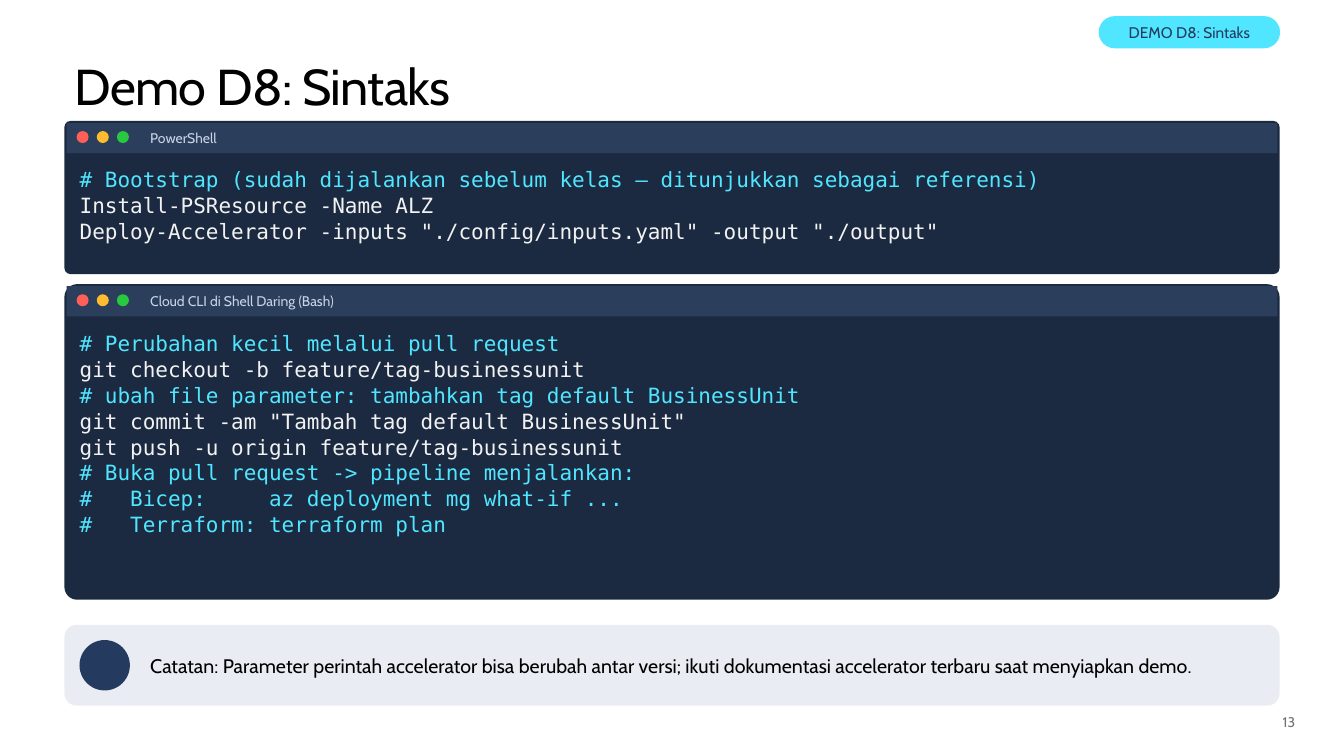
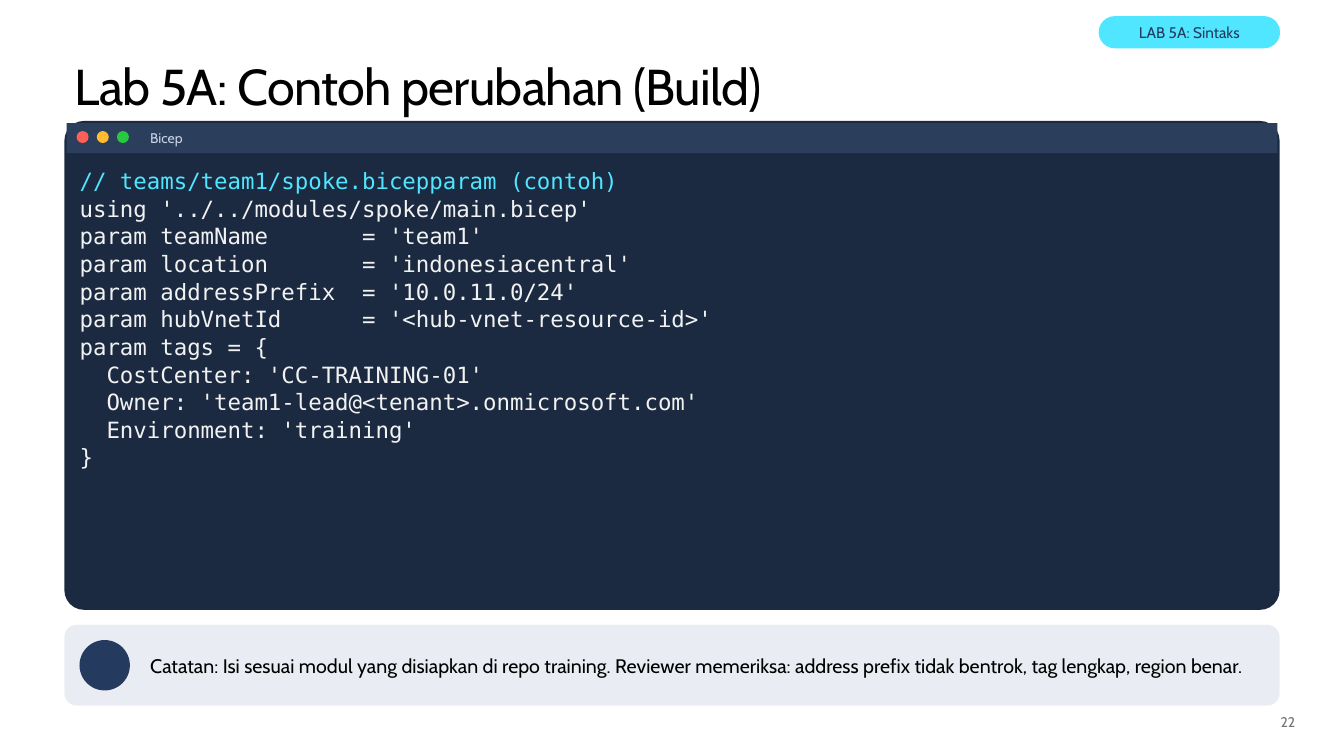
"""Build two code-sample slides with terminal panels and a note bar."""
from pptx import Presentation
from pptx.dml.color import RGBColor
from pptx.enum import shapes, text
from pptx.util import Pt

COLOURS = {
    "ink": "000000", "navy": "243A5E", "cyan": "50E6FF", "grey": "737373",
    "panel": "1B2A41", "header": "2B3E5C", "label": "C8D3E6", "code": "F2F2F2",
    "note": "E9EDF3", "red": "FF5F57", "amber": "FEBC2E", "green": "28C840",
}
SANS, MONO = "Cabin", "DejaVu Sans Mono"
LEFT, WIDTH = 46, 868
TEXT_LEFT = 103.7
INSETS = (3.6, 2.2, 3.6, 2.2)

BOOTSTRAP = """# Bootstrap (sudah dijalankan sebelum kelas – ditunjukkan sebagai referensi)
Install-PSResource -Name ALZ
Deploy-Accelerator -inputs "./config/inputs.yaml" -output "./output\""""
PULL_REQUEST = """# Perubahan kecil melalui pull request
git checkout -b feature/tag-businessunit
# ubah file parameter: tambahkan tag default BusinessUnit
git commit -am "Tambah tag default BusinessUnit"
git push -u origin feature/tag-businessunit
# Buka pull request -> pipeline menjalankan:
#   Bicep:     az deployment mg what-if ...
#   Terraform: terraform plan"""
SPOKE = """// teams/team1/spoke.bicepparam (contoh)
using '../../modules/spoke/main.bicep'
param teamName       = 'team1'
param location       = 'indonesiacentral'
param addressPrefix  = '10.0.11.0/24'
param hubVnetId      = '<hub-vnet-resource-id>'
param tags = {
  CostCenter: 'CC-TRAINING-01'
  Owner: 'team1-lead@<tenant>.onmicrosoft.com'
  Environment: 'training'
}"""

SLIDES = [
    {
        "title": "Demo D8: Sintaks", "tag": "DEMO D8: Sintaks", "number": 13,
        "panels": [
            (86.4, 109.4, "PowerShell", BOOTSTRAP, 15),
            (203, 225.4, "Cloud CLI di Shell Daring (Bash)", PULL_REQUEST, 15),
        ],
        "note": "Catatan: Parameter perintah accelerator bisa berubah antar versi; "
                "ikuti dokumentasi accelerator terbaru saat menyiapkan demo.",
    },
    {
        "title": "Lab 5A: Contoh perubahan (Build)", "tag": "LAB 5A: Sintaks", "number": 22,
        "panels": [(86.4, 349.2, "Bicep", SPOKE, 16)],
        "note": "Catatan: Isi sesuai modul yang disiapkan di repo training. Reviewer memeriksa: "
                "address prefix tidak bentrok, tag lengkap, region benar.",
    },
]


def rgb(name):
    return RGBColor.from_string(COLOURS[name])


class Deck:
    def __init__(self):
        self.prs = Presentation()
        self.prs.slide_width, self.prs.slide_height = Pt(960), Pt(540)
        self.slide = None

    def style(self, paragraph, size, colour, font=SANS, align=text.PP_ALIGN.LEFT):
        paragraph.alignment = align
        for run in paragraph.runs:
            run.font.size, run.font.name = Pt(size), font
            run.font.color.rgb = rgb(colour)

    def frame(self, holder, insets, anchor):
        frame = holder.text_frame
        frame.word_wrap = True
        frame.auto_size = text.MSO_AUTO_SIZE.NONE
        frame.vertical_anchor = anchor
        (frame.margin_left, frame.margin_top,
         frame.margin_right, frame.margin_bottom) = map(Pt, insets)
        return frame

    def shape(self, kind, box, fill, corner=None):
        shape = self.slide.shapes.add_shape(kind, *map(Pt, box))
        shape.shadow.inherit = False
        shape.fill.solid()
        shape.fill.fore_color.rgb = rgb(fill)
        shape.line.fill.background()
        if corner is not None:
            shape.adjustments[0] = corner
        return shape

    def rounded(self, box, fill, corner):
        return self.shape(shapes.MSO_SHAPE.ROUNDED_RECTANGLE, box, fill, corner)

    def circle(self, left, top, size, fill):
        self.shape(shapes.MSO_SHAPE.OVAL, (left, top, size, size), fill)

    def words(self, box, content, size, colour, insets=INSETS,
              anchor=text.MSO_ANCHOR.MIDDLE, align=text.PP_ALIGN.LEFT):
        frame = self.frame(self.slide.shapes.add_textbox(*map(Pt, box)), insets, anchor)
        frame.text = content
        for paragraph in frame.paragraphs:
            self.style(paragraph, size, colour, align=align)
        return frame

    def start(self, title, number):
        self.slide = self.prs.slides.add_slide(self.prs.slide_layouts[5])
        heading = self.slide.shapes.title
        heading.left, heading.top, heading.width, heading.height = map(Pt, (LEFT, 36, WIDTH, 44))
        frame = self.frame(heading, (7.2, 3.6, 7.2, 3.6), text.MSO_ANCHOR.TOP)
        frame.text = title
        self.style(frame.paragraphs[0], 36, "ink")
        for run in frame.paragraphs[0].runs:
            run.font._element.set("spc", "-50")
        self.words((874.8, 507.6, 54, 21.6), str(number), 10, "grey",
                   anchor=text.MSO_ANCHOR.TOP, align=text.PP_ALIGN.RIGHT)

    def tag(self, content):
        pill = self.rounded((784.8, 11.5, 129.6, 23), "cyan", 0.5)
        frame = self.frame(pill, (7.2, 0, 7.2, 0), text.MSO_ANCHOR.MIDDLE)
        frame.text = content
        self.style(frame.paragraphs[0], 11, "navy", align=text.PP_ALIGN.CENTER)

    def panel(self, top, height, language, code, size):
        self.rounded((LEFT, top, WIDTH, height), "panel", 0.04)
        self.shape(shapes.MSO_SHAPE.RECTANGLE,
                   (LEFT + 1.5, top + 1.5, WIDTH - 3, 21.6), "header")
        for column, colour in enumerate(("red", "amber", "green")):
            self.circle(LEFT + 8.7 + 14.4 * column, top + 7.2, 8.6, colour)
        self.words((TEXT_LEFT, top + 1.5, 795.6, 21.6), language, 10, "label")
        listing = self.words((LEFT + 8.7, top + 28.8, 850.3, height - 34.6), code, size, "code",
                             (2.2, 3.6, 2.2, 3.6), text.MSO_ANCHOR.TOP)
        for line in listing.paragraphs:
            is_comment = line.text.startswith(("#", "//"))
            self.style(line, size, "cyan" if is_comment else "code", MONO)
            line.line_spacing = 1.03

    def note(self, content):
        self.rounded((LEFT, 446.4, WIDTH, 57.6), "note", 0.15)
        self.circle(LEFT + 10.8, 457.2, 36, "navy")
        self.words((TEXT_LEFT, 446.4, 799.2, 57.6), content, 14, "ink")


def main():
    deck = Deck()
    for content in SLIDES:
        deck.start(content["title"], content["number"])
        deck.tag(content["tag"])
        for panel in content["panels"]:
            deck.panel(*panel)
        deck.note(content["note"])
    deck.prs.save("out.pptx")


if __name__ == "__main__":
    main()
